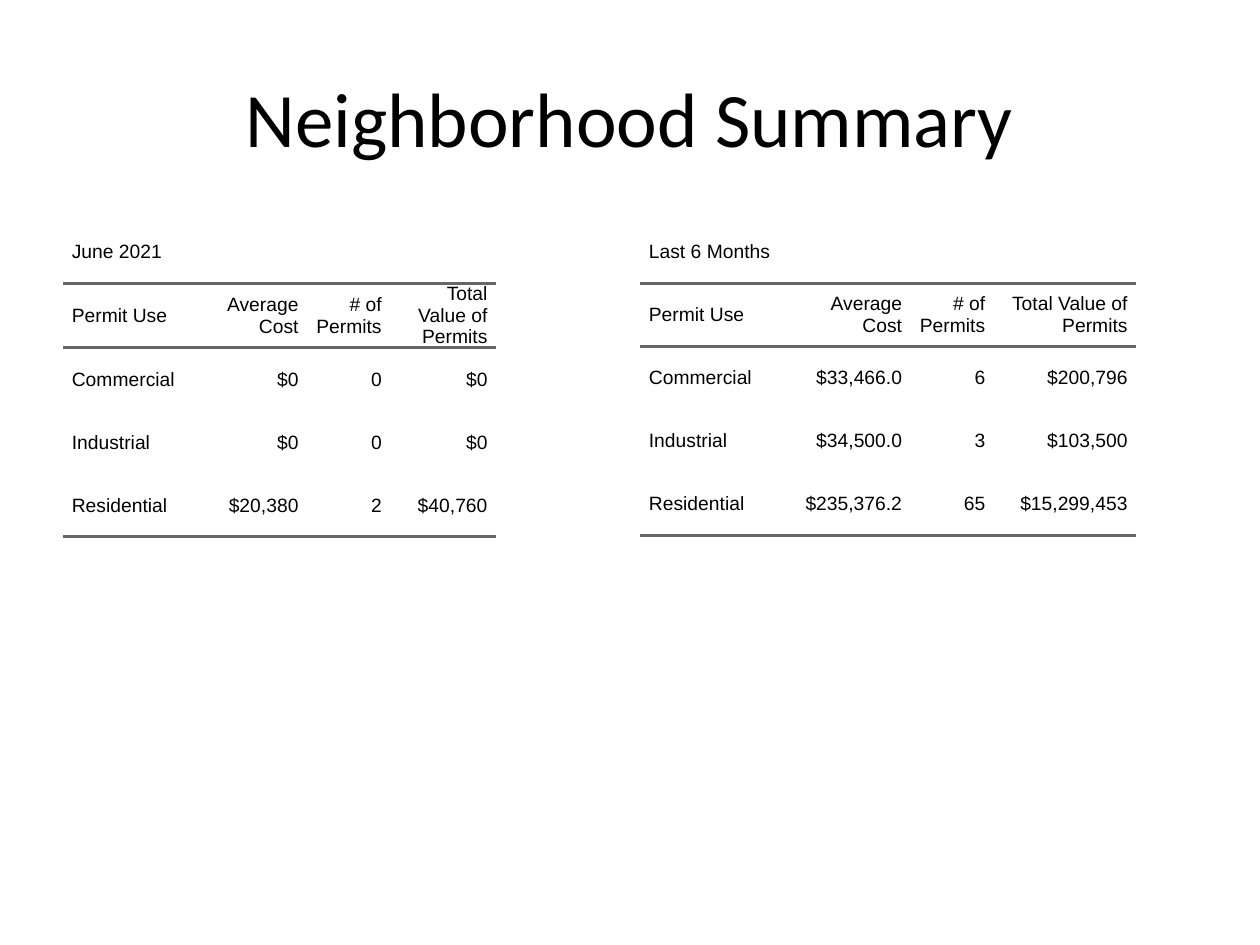
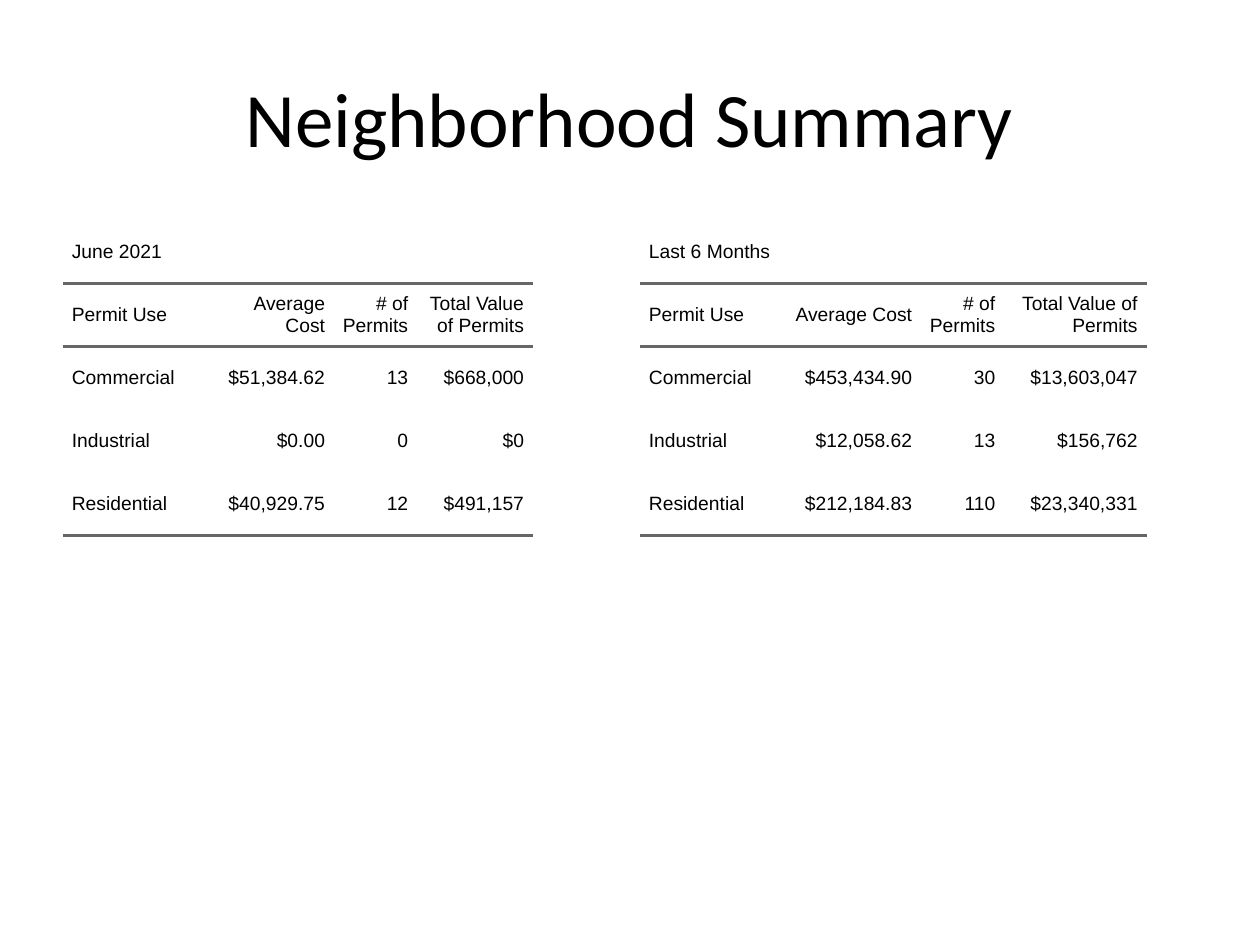
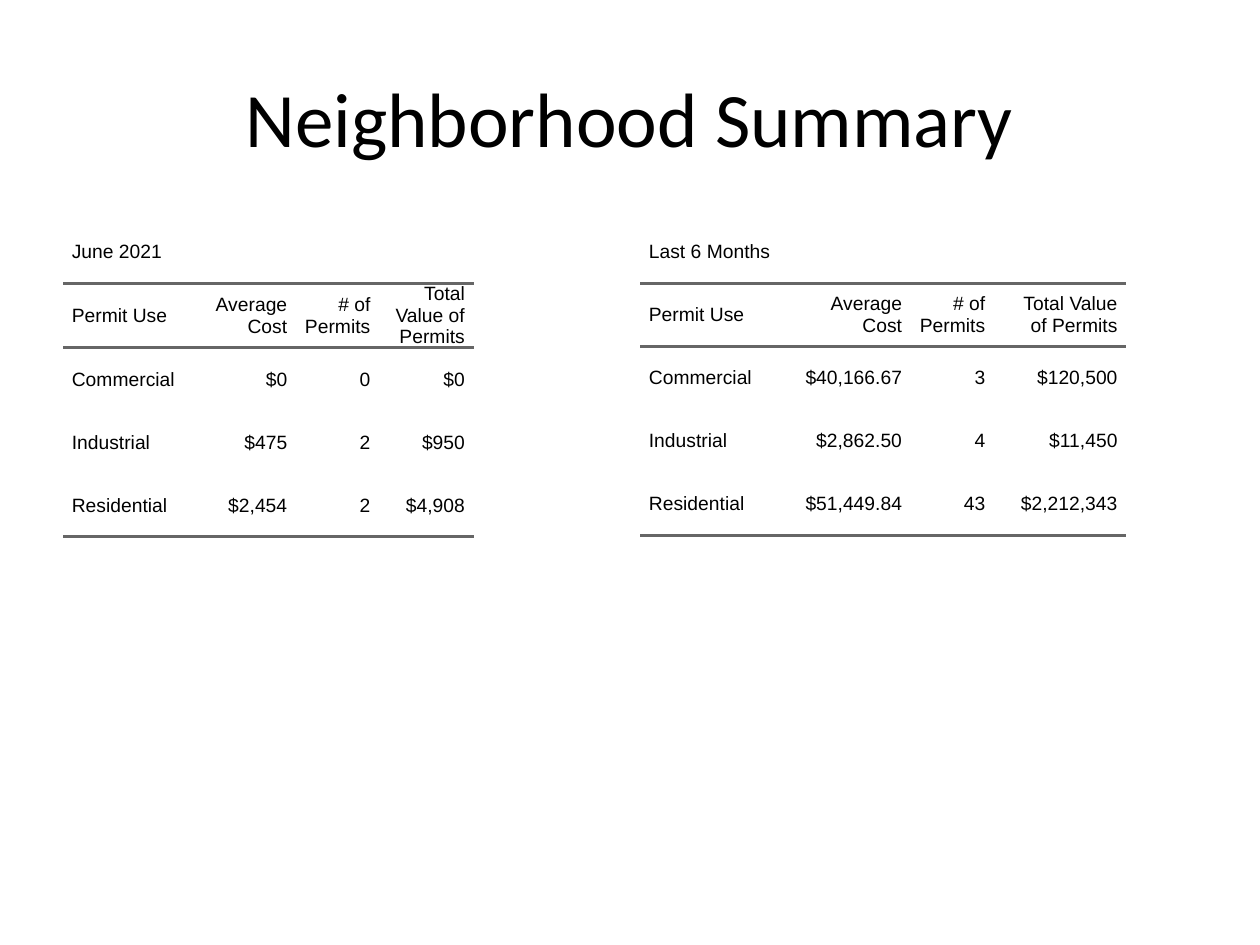
"""Builds the neighborhood permit summary slides."""
from dataclasses import dataclass

from lxml import etree
from pptx import Presentation
from pptx import util as u
from pptx.dml.color import RGBColor
from pptx.enum import text
from pptx.oxml import ns

BLACK = RGBColor(0x00, 0x00, 0x00)
RULE_GRAY = RGBColor(0x66, 0x66, 0x66)
RULE_WIDTH = u.Pt(2)
CELL_INDENT = u.Inches(0.07)
ROW_HEIGHT = u.Inches(0.5)
TABLE_TOP = u.Inches(1.75)
USE_WIDTH, COUNT_WIDTH = 1.1, 0.66
PLAIN_STYLE = "{2D5ABB26-0587-4C30-8999-92F81FD0307C}"
TITLE = "Neighborhood Summary"
HEADINGS = ("Permit Use", "Average Cost", "# of Permits", "Total Value of Permits")
USES = ("Commercial", "Industrial", "Residential")


@dataclass(frozen=True)
class Period:
    """Where the permits of one period stand on a slide."""
    caption: str
    left: float


@dataclass(frozen=True)
class Permits:
    """Cost, count and value per permit use, with the widths of the money columns."""
    cost_width: float
    value_width: float
    figures: tuple[tuple[str, str, str], ...]


PERIODS = (Period("June 2021", 0.5), Period("Last 6 Months", 5.08))
NEIGHBORHOODS = (
    (
        Permits(0.84, 0.84, (("$0", "0", "$0"), ("$0", "0", "$0"),
                             ("$20,380", "2", "$40,760"))),
        Permits(1.05, 1.13, (("$33,466.0", "6", "$200,796"), ("$34,500.0", "3", "$103,500"),
                             ("$235,376.2", "65", "$15,299,453"))),
    ),
    (
        Permits(1.05, 0.92, (("$51,384.62", "13", "$668,000"), ("$0.00", "0", "$0"),
                             ("$40,929.75", "12", "$491,157"))),
        Permits(1.13, 1.13, (("$453,434.90", "30", "$13,603,047"),
                             ("$12,058.62", "13", "$156,762"),
                             ("$212,184.83", "110", "$23,340,331"))),
    ),
    (
        Permits(0.75, 0.75, (("$0", "0", "$0"), ("$475", "2", "$950"),
                             ("$2,454", "2", "$4,908"))),
        Permits(1.05, 1.05, (("$40,166.67", "3", "$120,500"), ("$2,862.50", "4", "$11,450"),
                             ("$51,449.84", "43", "$2,212,343"))),
    ),
)


def write(frame, wording: str, *, size: int, font: str, align, indent: int = 0) -> None:
    """Put one formatted paragraph into a text frame."""
    frame.text = wording
    paragraph = frame.paragraphs[0]
    paragraph.alignment = align
    if indent:
        properties = paragraph._p.get_or_add_pPr()
        for side in ("marL", "marR"):
            properties.set(side, str(indent))
        properties.set("indent", "0")
    paragraph.font.size = u.Pt(size)
    paragraph.font.name = font
    paragraph.font.color.rgb = BLACK


def rule_cell(cell, sides: tuple[str, ...]) -> None:
    """Rule the given sides (T before B) of a cell."""
    properties = cell._tc.get_or_add_tcPr()
    for side in sides:
        line = etree.SubElement(properties, ns.qn(f"a:ln{side}"), w=str(RULE_WIDTH))
        fill = etree.SubElement(line, ns.qn("a:solidFill"))
        etree.SubElement(fill, ns.qn("a:srgbClr"), val=str(RULE_GRAY))


def fill_cell(cell, wording: str, column: int, sides: tuple[str, ...]) -> None:
    """Write a cell, with figures set to the right."""
    cell.margin_left = cell.margin_right = cell.margin_top = cell.margin_bottom = 0
    cell.vertical_anchor = text.MSO_ANCHOR.MIDDLE
    rule_cell(cell, sides)
    cell.fill.background()
    align = text.PP_ALIGN.RIGHT if column else text.PP_ALIGN.LEFT
    write(cell.text_frame, wording, size=11, font="Arial", align=align, indent=CELL_INDENT)


def add_permits(slide, period: Period, permits: Permits) -> None:
    """Draw the permit table of one period."""
    rows = [(period.caption,), HEADINGS]
    rows += [(use, *figures) for use, figures in zip(USES, permits.figures)]
    widths = [u.Inches(width) for width in
              (USE_WIDTH, permits.cost_width, COUNT_WIDTH, permits.value_width)]
    table = slide.shapes.add_table(len(rows), len(widths), u.Inches(period.left), TABLE_TOP,
                                   sum(widths), ROW_HEIGHT * len(rows)).table
    table.first_row = table.horz_banding = False
    table._tbl.tblPr.find(ns.qn("a:tableStyleId")).text = PLAIN_STYLE
    for column, width in zip(table.columns, widths):
        column.width = width
    table.cell(0, 0).merge(table.cell(0, len(widths) - 1))
    ruled = {1: ("T", "B"), len(rows) - 1: ("B",)}
    for row, wordings in enumerate(rows):
        for column, wording in enumerate(wordings):
            fill_cell(table.cell(row, column), wording, column, ruled.get(row, ()))


def add_title(slide) -> None:
    """Place and write the slide title."""
    title = slide.shapes.title
    title.left, title.top = u.Inches(0.5), u.Inches(0.3)
    title.width, title.height = u.Inches(9), u.Inches(1.25)
    title.text_frame.vertical_anchor = text.MSO_ANCHOR.MIDDLE
    write(title.text_frame, TITLE, size=44, font="Calibri", align=text.PP_ALIGN.CENTER)


def main() -> None:
    """Build one slide per neighborhood and save the deck."""
    deck = Presentation()
    deck.slide_width, deck.slide_height = u.Inches(10), u.Inches(7.5)
    title_only = deck.slide_layouts[5]
    for neighborhood in NEIGHBORHOODS:
        slide = deck.slides.add_slide(title_only)
        add_title(slide)
        for period, permits in zip(PERIODS, neighborhood):
            add_permits(slide, period, permits)
    deck.save("out.pptx")


if __name__ == "__main__":
    main()
